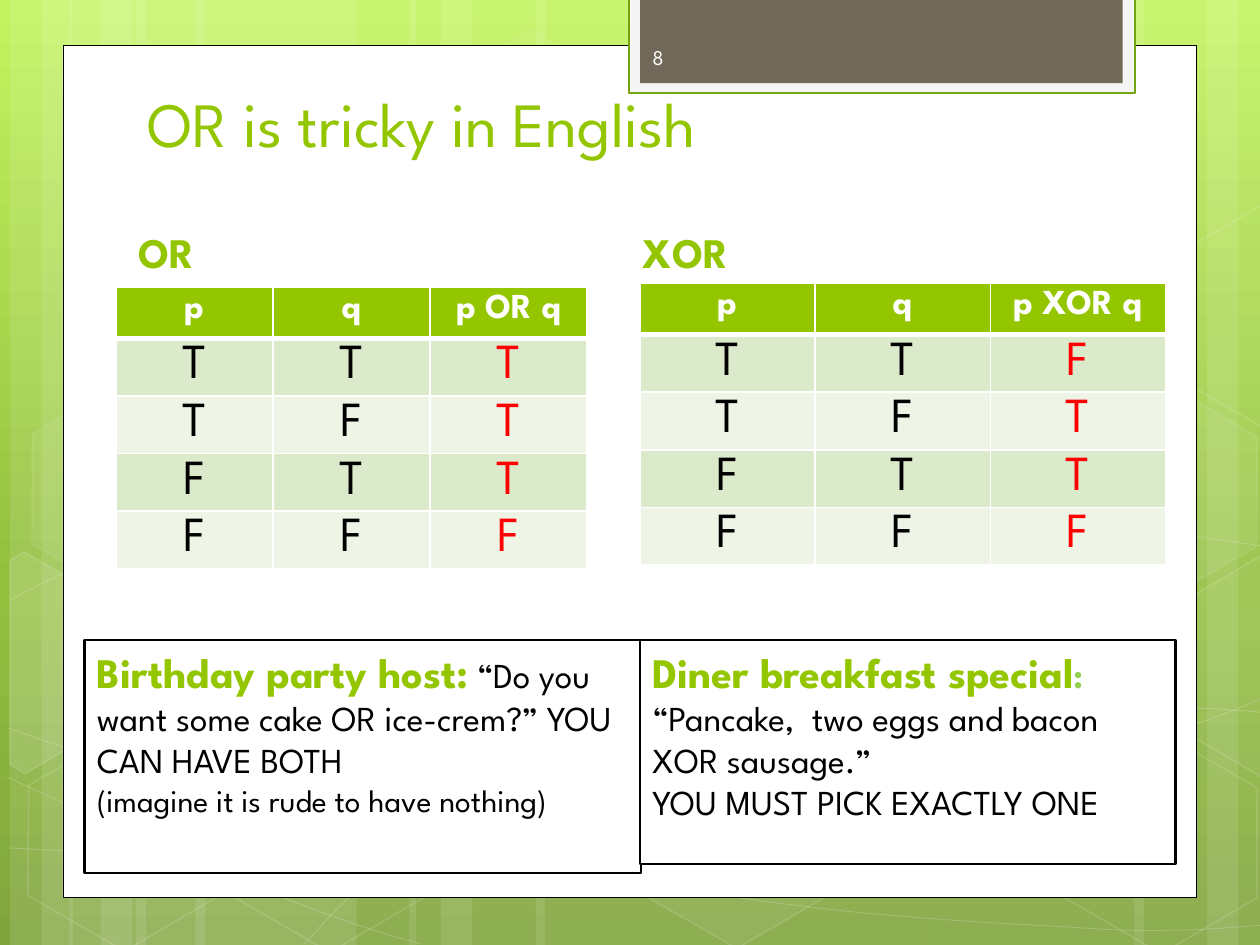
from copy import deepcopy
from dataclasses import dataclass

from lxml import etree
from pptx import Presentation
from pptx import util as u
from pptx.dml.color import RGBColor
from pptx.enum import shapes, text
from pptx.oxml import ns


@dataclass(frozen=True)
class Theme:
    font: str = "League Spartan"
    green: str = "94C600"
    accent: str = "92D050"
    black: str = "000000"
    white: str = "FFFFFF"
    red: str = "FF0000"
    bands: tuple = ("DCEACC", "EEF5E7")
    tab: str = "71685A"
    tab_frame: str = "F5F5F5"
    tab_line: str = "74A510"
    number: str = "FEFEFE"
    sky: tuple = ((0, "C3F35F"), (0.62, "93BF3F"), (1, "81A53E"))
    title: int = 36
    truth: int = 28
    heading: int = 24
    body: int = 20
    aside: int = 18
    page: int = 12


T = Theme()
RECT = shapes.MSO_SHAPE.RECTANGLE
LEFT, CENTER = text.PP_ALIGN.LEFT, text.PP_ALIGN.CENTER

# Background stripes: left, width
STRIPES = [(1.08, 1.75), (0.08, 0.5), (0.33, 0.83), (1.55, 1.75), (0.55, 0.5), (0.8, 0.83),
           (7.33, 1.75), (9.58, 0.5), (9, 0.83), (4.25, 3.08), (3.25, 0.5), (3.5, 0.83)]
# Background waves: a start point, then three Bezier points for each segment
WAVES = [
    [(0.07, 6.73), (0.61, 6.76), (1.15, 6.79), (1.9, 6.78), (2.65, 6.77), (3.58, 6.75), (4.58, 6.65),
     (5.58, 6.55), (7, 6.36), (7.92, 6.17), (8.83, 5.98), (9.77, 5.68), (10.07, 5.51)],
    [(0.07, 4.77), (0.36, 4.61), (0.65, 4.46), (1.21, 4.31), (1.78, 4.16), (2.59, 3.94), (3.47, 3.87),
     (4.36, 3.8), (5.44, 3.79), (6.54, 3.87), (7.64, 3.95), (9.47, 4.26), (10.07, 4.34)],
    [(0.06, 6.17), (1.27, 6.72), (2.47, 7.27), (3.34, 7.49)],
    [(0.07, 5.78), (0.38, 5.89), (0.7, 6), (1.28, 6.16), (1.86, 6.31), (2.73, 6.56), (3.57, 6.73),
     (4.4, 6.9), (5.45, 7.08), (6.28, 7.18), (7.11, 7.29), (8, 7.33), (8.53, 7.36),
     (9.05, 7.4), (9.19, 7.38), (9.45, 7.38), (9.71, 7.37), (9.89, 7.35), (10.07, 7.34)],
    [(2.42, 7.49), (2.6, 7.29), (2.78, 7.09), (3.02, 6.91), (3.26, 6.73), (3.6, 6.53), (3.88, 6.39),
     (4.16, 6.25), (4.33, 6.19), (4.7, 6.09), (5.06, 5.99), (5.73, 5.85), (6.08, 5.78),
     (6.44, 5.71), (6.49, 5.71), (6.8, 5.69), (7.11, 5.66), (7.6, 5.63), (7.94, 5.62),
     (8.29, 5.61), (8.86, 5.62), (8.86, 5.62), (9.08, 5.62), (9.31, 5.62), (9.53, 5.62),
     (9.71, 5.63), (9.88, 5.64), (9.97, 5.65), (10.06, 5.66), (10.03, 5.65), (10.06, 5.66)],
]
# Hexagons: left, top, fill opacity, line opacity
HEXAGONS = [(3.34, 0.36, 4, 8), (4.97, 5.89, 6, 12), (0.11, 5.91, 0, 12), (0.14, 3.12, 7, 8),
            (1.74, 5.92, 0, 12), (7.53, 4.53, 10, 12), (8.34, 5.93, 0, 12), (8.34, 3.14, 7, 8)]
# Hexagons cut by the slide edge: corners, fill opacity
CUT_HEXAGONS = [
    ([(0.08, 4.45), (0.19, 4.38), (0.96, 4.82), (0.95, 5.7), (0.2, 6.14), (0.08, 6.07)], 10),
    ([(9.26, 4.85), (10.01, 4.41), (10.09, 4.46), (10.09, 6.13), (10.02, 6.17), (9.26, 5.73)], 4),
    ([(9.26, 2.07), (10.01, 1.63), (10.1, 1.68), (10.09, 3.35), (10.02, 3.39), (9.26, 2.95)], 0),
]


def rgb(value):
    return RGBColor.from_string(value)


def inches(box):
    return [u.Inches(length) for length in box]


def paint(fill, color, opacity=100):
    if not color or not opacity:
        fill.background()
        return
    fill.solid()
    fill.fore_color.rgb = rgb(color)
    if opacity < 100:
        solid = fill._xPr.find(ns.qn("a:solidFill"))
        etree.SubElement(solid[0], ns.qn("a:alpha"), val=str(opacity * 1000))


def dress(shape, fill=None, opacity=100, line=None, width=1, line_opacity=100):
    shape.shadow.inherit = False
    paint(shape.fill, fill, opacity)
    paint(shape.line.fill, line, line_opacity)
    if line:
        shape.line.width = u.Pt(width)
    return shape


def style(font, size, color, bold=False):
    font.name, font.size, font.bold = T.font, u.Pt(size), bold
    font.color.rgb = rgb(color)


def outline(slide, points, close):
    corners = [tuple(inches(point)) for point in points]
    builder = slide.shapes.build_freeform(*corners[0])
    builder.add_line_segments(corners[1:], close=close)
    return builder.convert_to_shape()


def curve(slide, points):
    wave = outline(slide, points, False)
    # Turn every three line segments into one Bezier segment
    segments = list(wave._element.iter(ns.qn("a:lnTo")))
    for first, second, third in zip(segments[::3], segments[1::3], segments[2::3]):
        bezier = etree.Element(ns.qn("a:cubicBezTo"))
        first.addprevious(bezier)
        for segment in (first, second, third):
            bezier.append(segment[0])
            segment.getparent().remove(segment)
    return wave


def add_backdrop(slide, height):
    # Gradient
    sky = slide.background.fill
    sky.gradient()
    sky.gradient_angle = 270
    stop_list = slide._element.find(".//" + ns.qn("a:gsLst"))
    stop_list.append(deepcopy(stop_list[-1]))
    for stop, (position, color) in zip(sky.gradient_stops, T.sky):
        stop.position = position
        stop.color.rgb = rgb(color)
    # Stripes, waves and hexagons
    for left, width in STRIPES:
        dress(slide.shapes.add_shape(RECT, *inches((left, 0, width, height))), T.white, 10)
    for wave in WAVES:
        dress(curve(slide, wave), line=T.white, width=0.5, line_opacity=20)
    for left, top, opacity, line_opacity in HEXAGONS:
        hexagon = slide.shapes.add_shape(shapes.MSO_SHAPE.HEXAGON, *inches((left, top, 1.75, 1.52)))
        hexagon.adjustments[0] = 0.285
        hexagon.rotation = 30
        dress(hexagon, T.white, opacity, T.white, 1, line_opacity)
    for corners, opacity in CUT_HEXAGONS:
        dress(outline(slide, corners, True), T.white, opacity, T.white, 1, 12)


def add_panel(slide, box):
    left, top, width, _ = box
    dress(slide.shapes.add_shape(RECT, *inches(box)), T.white, line=T.black, width=0.5)
    # Page tab
    tab_left = left + width - 4.51
    dress(slide.shapes.add_shape(RECT, *inches((tab_left, -0.02, 4.02, 0.76))),
          T.tab_frame, line=T.tab_line, width=1.25)
    dress(slide.shapes.add_shape(RECT, *inches((tab_left + 0.09, -0.02, 3.83, 0.68))), T.tab)
    page = slide.shapes.add_textbox(*inches((tab_left + 0.09, top - 0.11, 1.46, 0.4))).text_frame
    page.word_wrap = True
    page.vertical_anchor = text.MSO_ANCHOR.MIDDLE
    page.text = "8"
    style(page.paragraphs[0].font, T.page, T.number)


def place_heading(slide, heading, box, words, size, bold):
    slide.shapes._spTree.append(heading._element)  # bring in front of the panel
    heading.left, heading.top, heading.width, heading.height = inches(box)
    frame = heading.text_frame
    frame.text = words
    frame.auto_size = text.MSO_AUTO_SIZE.NONE
    frame.vertical_anchor = text.MSO_ANCHOR.BOTTOM
    line = frame.paragraphs[0]
    line.alignment, line.space_before = LEFT, u.Pt(0)
    style(line.font, size, T.green, bold)


def add_borders(cell, bottom):
    properties = cell._tc.get_or_add_tcPr()
    for place, (side, width) in enumerate((("L", 1), ("R", 1), ("T", 1), ("B", bottom))):
        edge = etree.Element(ns.qn("a:ln" + side), w=str(u.Pt(width)))
        fill = etree.SubElement(edge, ns.qn("a:solidFill"))
        etree.SubElement(fill, ns.qn("a:srgbClr"), val=T.white)
        properties.insert(place, edge)


def add_truth_table(slide, box, operator, results):
    rows = [("p", "q", f"p {operator} q")]
    rows += [(p, q, result) for (p, q), result in zip(("TT", "TF", "FT", "FF"), results)]
    table = slide.shapes.add_table(len(rows), 3, *inches(box)).table
    for r, values in enumerate(rows):
        for c, value in enumerate(values):
            cell = table.cell(r, c)
            cell.text = value
            paint(cell.fill, T.bands[(r - 1) % 2] if r else T.green)
            add_borders(cell, 1 if r else 3)
            line = cell.text_frame.paragraphs[0]
            line.alignment = CENTER
            if r:
                style(line.font, T.truth, T.red if c == 2 else T.black)
            else:
                style(line.font, T.body, T.white, True)


def add_example(slide, box, paragraphs):
    example = dress(slide.shapes.add_shape(RECT, *inches(box)), T.white, line=T.black, width=1.25)
    frame = example.text_frame
    frame.word_wrap = True
    frame.vertical_anchor = text.MSO_ANCHOR.TOP
    for i, pieces in enumerate(paragraphs):
        line = frame.add_paragraph() if i else frame.paragraphs[0]
        line.alignment = LEFT
        for words, *look in pieces:
            for j, part in enumerate(words.split("\n")):
                if j:
                    line.add_line_break()
                run = line.add_run()
                run.text = part
                style(run.font, *look)


def main():
    deck = Presentation()
    deck.slide_width, deck.slide_height = inches((10, 7.5))
    slide = deck.slides.add_slide(deck.slide_layouts[4])
    title, or_label, or_slot, xor_label, xor_slot = slide.placeholders
    for slot in (or_slot, xor_slot):
        slot._element.getparent().remove(slot._element)

    add_backdrop(slide, 7.5)
    add_panel(slide, (0.5, 0.36, 9, 6.76))
    place_heading(slide, title, (1.07, 0.62, 7.68, 0.7), "OR is tricky in English", T.title, False)
    # Truth tables
    place_heading(slide, or_label, (1, 1.55, 3.34, 0.7), "OR", T.heading, True)
    add_truth_table(slide, (0.92, 2.28, 3.74, 2.03), "OR", "TTTF")
    place_heading(slide, xor_label, (5, 1.55, 4.42, 0.7), "XOR", T.heading, True)
    add_truth_table(slide, (5.08, 2.25, 4.17, 2.03), "XOR", "FTTF")
    # Everyday examples
    add_example(slide, (0.67, 5.08, 4.42, 1.85), [
        [("Birthday party host:", T.heading, T.green, True),
         (" “Do you want some cake OR ice-crem?” YOU CAN HAVE BOTH", T.body, T.black)],
        [("(imagine it is rude to have nothing)", T.aside, T.black)]])
    add_example(slide, (5.08, 5.08, 4.25, 1.78), [
        [("Diner breakfast special", T.heading, T.green, True),
         (": ", T.body, T.accent, True),
         ("“Pancake,  two eggs and bacon XOR sausage.” \nYOU MUST PICK EXACTLY ONE",
          T.body, T.black)]])
    deck.save("out.pptx")


if __name__ == "__main__":
    main()
